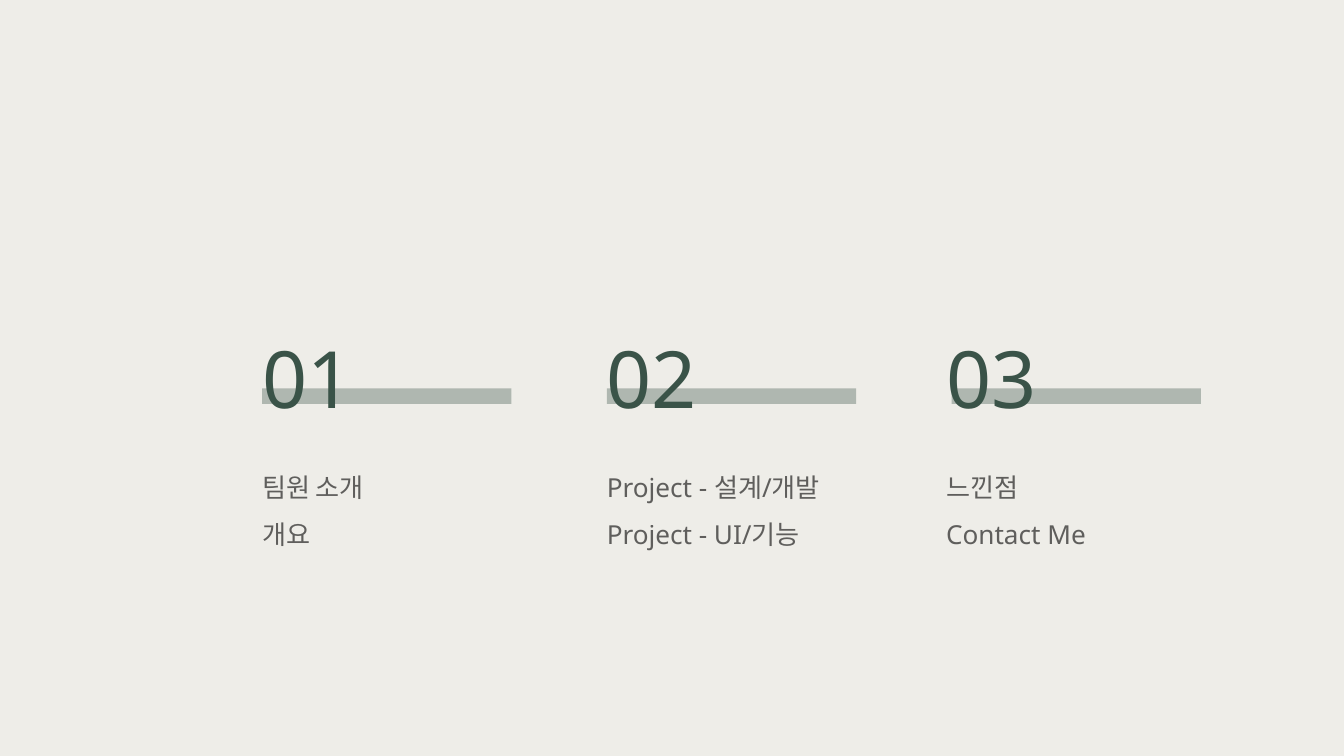
from lxml.etree import SubElement
from pptx import Presentation
from pptx.dml.color import RGBColor
from pptx.enum.shapes import MSO_SHAPE as Shape
from pptx.enum.text import MSO_ANCHOR as Anchor, MSO_AUTO_SIZE as AutoSize, PP_ALIGN as Align
from pptx.oxml.ns import qn
from pptx.util import Pt

COLORS = {"paper": "EEEDE8", "green": "3A5348", "ink": "000000"}
LEFT, TOP, PITCH, BAR_WIDTH = 280.8, 336.24, 369.36, 267.12

SECTIONS = [
    {"number": "01", "font": "Calibri", "lines": ["팀원 소개", "개요"],
     "number_width": 133.92, "list_width": 267.12, "shift": 0},
    {"number": "02", "font": "Noto Sans", "lines": ["Project - 설계/개발", "Project - UI/기능"],
     "number_width": 137.52, "list_width": 275.04, "shift": 0},
    {"number": "03", "font": "Calibri", "lines": ["느낀점", "Contact Me"],
     "number_width": 123.84, "list_width": 369.36, "shift": -5.76},
]


def set_color(fill, name, opacity=100):
    """Give a fill a solid palette colour with an opacity in percent."""
    fill.solid()
    fill.fore_color.rgb = RGBColor.from_string(COLORS[name])
    if opacity < 100:
        color = fill._xPr.find(qn("a:solidFill")).find(qn("a:srgbClr"))
        SubElement(color, qn("a:alpha"), val=str(opacity * 1000))


def write_text(box, lines, *, size, leading, color, fonts, opacity=100):
    """Write one paragraph per line into a box, without margins or bullets."""
    frame = box.text_frame
    frame.margin_left = frame.margin_top = frame.margin_right = frame.margin_bottom = 0
    frame.word_wrap = True
    frame.auto_size = AutoSize.NONE
    frame.vertical_anchor = Anchor.TOP
    for index, (line, font) in enumerate(zip(lines, fonts)):
        para = frame.add_paragraph() if index else frame.paragraphs[0]
        para.alignment = Align.LEFT
        para.line_spacing = Pt(leading)
        para.space_before = para.space_after = Pt(0)
        properties = para._p.get_or_add_pPr()
        properties.set("marL", "0")
        properties.set("indent", "0")
        SubElement(properties, qn("a:buNone"))
        span = para.add_run()
        span.text = line
        span.font.name = font
        span.font.size = Pt(size)
        span.font.bold = False
        set_color(span.font.fill, color, opacity)


def add_section(page, section, body, left, top):
    """Place a bar, its number and its list in the column at left and top."""
    bar = page.shapes.add_shape(
        Shape.RECTANGLE, Pt(left), Pt(top + 79.92), Pt(BAR_WIDTH), Pt(16.56))
    bar.shadow.inherit = False
    bar.line.fill.background()
    set_color(bar.fill, "green", 35)

    text_left = Pt(left + section["shift"])
    number = page.shapes.add_textbox(
        text_left, Pt(top), Pt(section["number_width"]), Pt(113.76))
    write_text(number, [section["number"]], size=84.6, leading=118.5,
               color="green", fonts=["Noto Sans"])

    body.left, body.top = text_left, Pt(top + 151.2)
    body.width, body.height = Pt(section["list_width"]), Pt(96.48)
    fonts = [section["font"], "Noto Sans" if section["number"] == "03" else section["font"]]
    write_text(body, section["lines"], size=28, leading=50.7,
               color="ink", fonts=fonts, opacity=60)


def build_contents(deck):
    """Add the contents page with its three sections."""
    page = deck.slides.add_slide(deck.slide_layouts.get_by_name("Comparison"))
    set_color(page.background.fill, "paper")
    title, *bodies = list(page.placeholders)
    for index, (section, body) in enumerate(zip(SECTIONS, bodies)):
        add_section(page, section, body, LEFT + index * PITCH, TOP)
    for empty in [title, *bodies[len(SECTIONS):]]:
        empty.element.getparent().remove(empty.element)


def main():
    """Build the deck and save it."""
    deck = Presentation()
    deck.slide_width, deck.slide_height = Pt(1440), Pt(810)
    build_contents(deck)
    deck.save("out.pptx")


if __name__ == "__main__":
    main()
